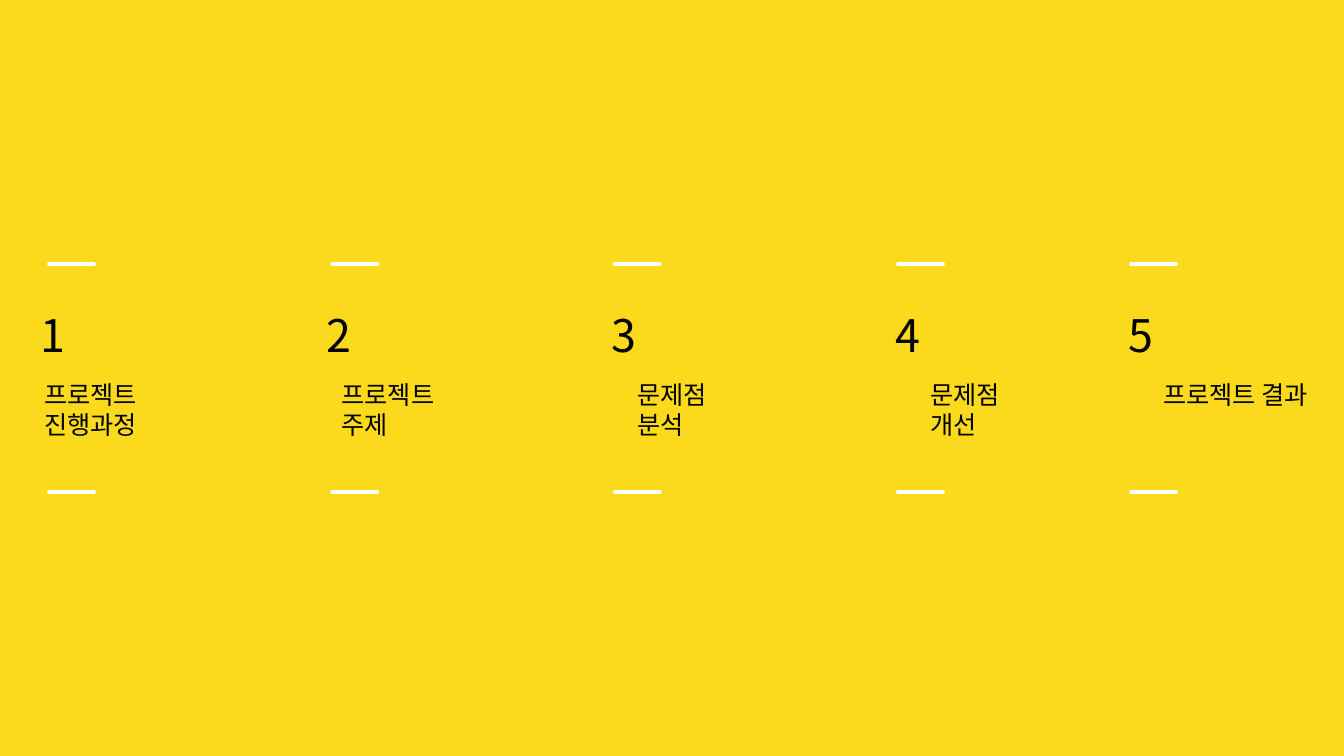
from dataclasses import dataclass

import lxml.etree
import pptx
import pptx.dml.color
import pptx.enum.shapes
import pptx.enum.text
import pptx.oxml.ns
import pptx.util

Inches = pptx.util.Inches
RGB = pptx.dml.color.RGBColor


@dataclass(frozen=True)
class Theme:
    background: RGB = RGB(0xFB, 0xD9, 0x1C)
    text: RGB = RGB(0, 0, 0)
    bracket: RGB = RGB(0xFF, 0xFF, 0xFF)
    font: str = "Noto Sans CJK KR"
    number_size: int = 32
    label_size: int = 18
    bracket_width: float = 3.25


@dataclass(frozen=True)
class Step:
    lines: tuple[str, ...]
    number_x: float
    bracket_x: float
    label_x: float
    label_width: float


THEME = Theme()
STEPS = (
    Step(("프로젝트", "진행과정"), 0.3, -0.42, 0.34, 2.1),
    Step(("프로젝트", "주제"), 3.14, 2.39, 3.29, 1.64),
    Step(("문제점", "분석"), 5.97, 5.19, 6.22, 1.41),
    Step(("문제점", "개선"), 8.78, 8, 9.13, 1.41),
    Step(("프로젝트 결과",), 11.09, 10.31, 11.44, 1.71),
)


def add_text(s, lines: tuple[str, ...], x: float, y: float,
             width: float, height: float, size: int) -> None:
    sp = s.shapes.add_textbox(Inches(x), Inches(y), Inches(width), Inches(height))
    tf = sp.text_frame
    tf.word_wrap = True
    tf.auto_size = pptx.enum.text.MSO_AUTO_SIZE.SHAPE_TO_FIT_TEXT
    p = tf.paragraphs[0]
    for i, line in enumerate(lines):
        if i:
            p.add_line_break()
        r = p.add_run()
        r.text = line
        r.font.size = pptx.util.Pt(size)
        r.font.color.rgb = THEME.text
        r.font.name = THEME.font
        ea = lxml.etree.SubElement(r.font._element, pptx.oxml.ns.qn("a:ea"))
        ea.set("typeface", THEME.font)


def add_bracket(s, x: float) -> None:
    sp = s.shapes.add_shape(pptx.enum.shapes.MSO_SHAPE.DOUBLE_BRACKET,
                            Inches(x), Inches(3.53), Inches(2.26), Inches(0.44))
    sp.rotation = 270
    sp.adjustments[0] = 0
    sp.shadow.inherit = False
    sp.fill.background()
    sp.line.color.rgb = THEME.bracket
    sp.line.width = pptx.util.Pt(THEME.bracket_width)
    sp._element.spPr.find(pptx.oxml.ns.qn("a:ln")).set("cap", "rnd")


def main() -> None:
    prs = pptx.Presentation()
    prs.slide_width = Inches(13.33)
    prs.slide_height = Inches(7.5)
    s = prs.slides.add_slide(prs.slide_layouts.get_by_name("Blank"))
    s.background.fill.solid()
    s.background.fill.fore_color.rgb = THEME.background
    for number, step in enumerate(STEPS, 1):
        add_text(s, (str(number),), step.number_x, 3, 0.84, 0.64, THEME.number_size)
        add_bracket(s, step.bracket_x)
        add_text(s, step.lines, step.label_x, 3.71, step.label_width, 0.4,
                 THEME.label_size)
    prs.save("out.pptx")


if __name__ == "__main__":
    main()
